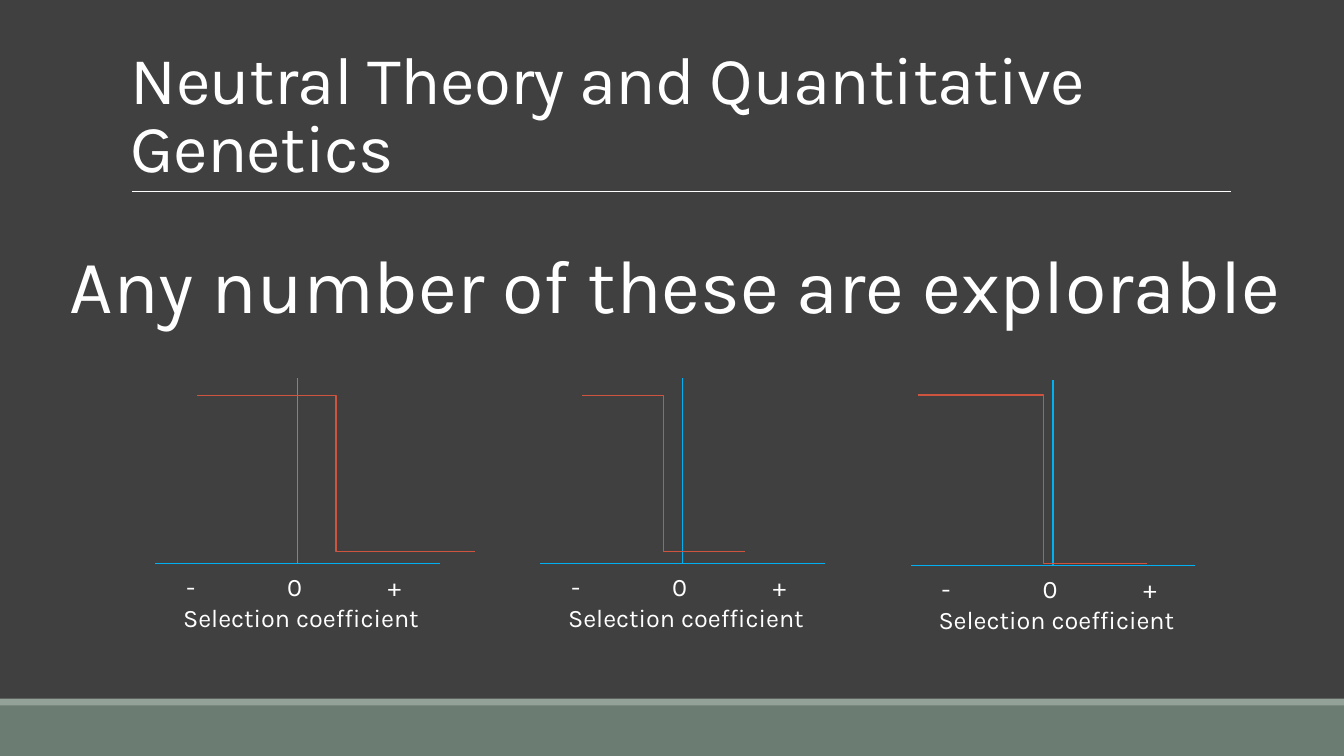
from dataclasses import dataclass

from lxml import etree
from pptx import Presentation
from pptx.dml.color import RGBColor
from pptx.enum.shapes import MSO_CONNECTOR as Link, MSO_SHAPE
from pptx.enum.text import MSO_ANCHOR as Anchor, MSO_AUTO_SIZE as Fit, PP_ALIGN as Align
from pptx.oxml.ns import qn
from pptx.util import Pt

BACKGROUND = RGBColor(0x40, 0x40, 0x40)
BAND = RGBColor(0x6B, 0x7D, 0x72)
BAND_EDGE = RGBColor(0x93, 0xA2, 0x99)
WHITE = RGBColor(0xFF, 0xFF, 0xFF)
AXIS_BLUE = RGBColor(0x00, 0xB0, 0xF0)
STEP_RED = RGBColor(0xCF, 0x54, 0x3F)

SLIDE_W, SLIDE_H = 960, 540
AXIS_W, AXIS_H = 203, 132.5
STEP_TOP = 282.3
TAB_SIZE = 36


@dataclass
class Panel:
    """A step-shaped fitness curve over a selection coefficient axis."""
    left: float
    base: float
    step_left: float
    step_right: float
    step_bottom: float
    bend: float = 0.5


PANELS = [
    Panel(111, 402.5, 141, 339, 394),
    Panel(386, 402.5, 416, 532, 394),
    Panel(650.6, 404, 655.5, 819, 402.5, bend=0.549),
]


def add_band(shapes, top: float, height: float, color: RGBColor) -> None:
    sp = shapes.add_shape(MSO_SHAPE.RECTANGLE, Pt(0), Pt(top), Pt(SLIDE_W), Pt(height))
    sp.shadow.inherit = False
    sp.fill.solid()
    sp.fill.fore_color.rgb = color
    sp.line.fill.background()


def add_line(shapes, start: tuple, end: tuple, color: RGBColor,
             width: float = 1, kind=Link.STRAIGHT):
    ends = [Pt(v) for v in (*start, *end)]
    line = shapes.add_connector(kind, *ends)
    line.line.color.rgb = color
    line.line.width = Pt(width)
    etree.SubElement(line._element.spPr, qn("a:effectLst"))
    return line


def add_text(shapes, text: str, box: tuple, size: float,
             align=Align.LEFT, **frame_format):
    sp = shapes.add_textbox(*[Pt(v) for v in box])
    tf = sp.text_frame
    frame = {"word_wrap": True, "auto_size": Fit.SHAPE_TO_FIT_TEXT, **frame_format}
    for name, value in frame.items():
        setattr(tf, name, value)
    p = tf.paragraphs[0]
    p.alignment = align
    r = p.add_run()
    r.text = text
    for name, value in {"name": "Karla", "size": Pt(size)}.items():
        setattr(r.font, name, value)
    r.font.color.rgb = WHITE
    return p


def add_panel(shapes, panel: Panel) -> None:
    group = shapes.add_group_shape().shapes
    left, base = panel.left, panel.base
    zero = left + AXIS_W / 2

    # Axes
    add_line(group, (left, base), (left + AXIS_W, base), AXIS_BLUE)
    add_line(group, (zero, base - AXIS_H), (zero, base), AXIS_BLUE)

    # Step curve
    step = add_line(group, (panel.step_left, STEP_TOP),
                    (panel.step_right, panel.step_bottom), STEP_RED, kind=Link.ELBOW)
    guides = step._element.spPr.find(qn("a:prstGeom")).find(qn("a:avLst"))
    etree.SubElement(guides, qn("a:gd"), name="adj1",
                     fmla=f"val {round(panel.bend * 100000)}")

    # Axis labels
    add_text(group, "Selection coefficient", (left + 5, base + 24, 198, 29), 18, Align.CENTER)
    signs = add_text(group, "-\t\t0 \t\t+", (left + 15, base + 1.7, 188, 29), 18)
    signs._p.get_or_add_pPr().set("defTabSz", str(Pt(TAB_SIZE)))


def main() -> None:
    prs = Presentation()
    prs.slide_width, prs.slide_height = Pt(SLIDE_W), Pt(SLIDE_H)
    s = prs.slides.add_slide(prs.slide_layouts[6])
    s.background.fill.solid()
    s.background.fill.fore_color.rgb = BACKGROUND

    # Footer bands and title rule
    add_band(s.shapes, 504, 36, BAND)
    add_band(s.shapes, 499, 5, BAND_EDGE)
    add_line(s.shapes, (94.3, 136.8), (879, 136.8), WHITE, 0.5)

    # Title
    title = add_text(s.shapes, "Neutral Theory and Quantitative Genetics",
                     (86.4, 22.5, 792, 114.3), 48,
                     auto_size=Fit.NONE, vertical_anchor=Anchor.BOTTOM)
    title.line_spacing = 0.85
    title.runs[0].font._element.set("spc", "-50")

    # Fitness panels and headline
    for panel in PANELS:
        add_panel(s.shapes, panel)
    add_text(s.shapes, "Any number of these are explorable",
             (40, 166.3, 885, 72.7), 54, Align.CENTER)

    prs.save("out.pptx")


if __name__ == "__main__":
    main()
